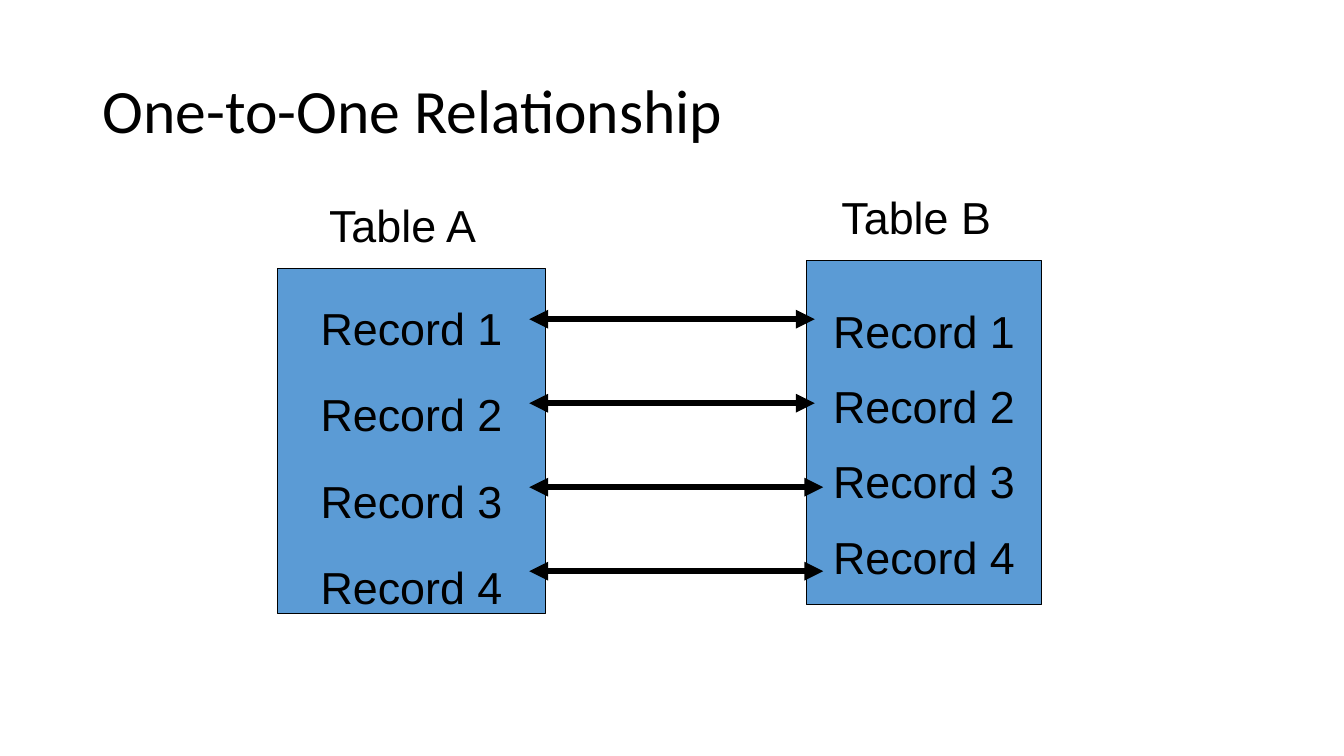
from lxml.etree import SubElement
from pptx import Presentation
from pptx.dml.color import RGBColor
from pptx.enum.shapes import MSO_CONNECTOR as Connector, MSO_SHAPE as Shape
from pptx.enum.text import MSO_ANCHOR as Anchor, MSO_AUTO_SIZE as AutoSize, PP_ALIGN as Align
from pptx.oxml.ns import qn
from pptx.util import Inches, Pt

BLACK = RGBColor(0x00, 0x00, 0x00)
BLUE = RGBColor(0x5B, 0x9B, 0xD5)
COLUMNS, ROWS = 160, 90
RECORDS = [f"Record {number}" for number in range(1, 5)]


class RelationshipPage:
    title_font, body_font = "Calibri", "Arial"
    title_size, body_size = Pt(44), Pt(32)

    def __init__(self, deck):
        self.column = deck.slide_width / COLUMNS
        self.row = deck.slide_height / ROWS
        self.page = deck.slides.add_slide(deck.slide_layouts[5])

    def place(self, left, top, width, height):
        return (round(left * self.column), round(top * self.row),
                round(width * self.column), round(height * self.row))

    def set_text(self, frame, text, font, size, align, spacing=1.0):
        frame.text = text
        for para in frame.paragraphs:
            para.alignment = align
            para.line_spacing = spacing
            for span in para.runs:
                span.font.name = font
                span.font.size = size
                span.font.color.rgb = BLACK

    def title(self, text, *area):
        box = self.page.shapes.title
        box.left, box.top, box.width, box.height = self.place(*area)
        frame = box.text_frame
        frame.vertical_anchor = Anchor.MIDDLE
        self.set_text(frame, text, self.title_font, self.title_size, Align.LEFT, 0.9)

    def label(self, text, *area):
        frame = self.page.shapes.add_textbox(*self.place(*area)).text_frame
        frame.word_wrap = False
        frame.auto_size = AutoSize.SHAPE_TO_FIT_TEXT
        self.set_text(frame, text, self.body_font, self.body_size, Align.LEFT)

    def record_box(self, records, spacing, *area):
        box = self.page.shapes.add_shape(Shape.RECTANGLE, *self.place(*area))
        box.shadow.inherit = False
        box.fill.solid()
        box.fill.fore_color.rgb = BLUE
        box.line.color.rgb = BLACK
        box.line.width = Pt(0.75)
        frame = box.text_frame
        frame.word_wrap = False
        frame.vertical_anchor = Anchor.MIDDLE
        self.set_text(frame, "\n".join(records), self.body_font, self.body_size,
                      Align.CENTER, spacing)

    def double_arrow(self, start, end, row):
        left, top, right, bottom = self.place(start, row, end, row)
        arrow = self.page.shapes.add_connector(
            Connector.STRAIGHT, left, top, right, bottom)
        arrow.line.color.rgb = BLACK
        arrow.line.width = Pt(4.5)
        properties = arrow.element.spPr
        outline = properties.find(qn("a:ln"))
        for tip in ("a:headEnd", "a:tailEnd"):
            SubElement(outline, qn(tip), type="triangle")
        SubElement(properties, qn("a:effectLst"))


def main():
    deck = Presentation()
    deck.slide_width, deck.slide_height = Inches(13.33), Inches(7.5)
    page = RelationshipPage(deck)
    page.title("One-to-One Relationship", 11, 4.8, 138, 17.4)
    page.record_box(RECORDS, 1.6, 33, 32, 32, 41)
    page.label("Table A", 38, 23, 20.8, 7.6)
    page.record_box(RECORDS, 1.4, 96, 31, 28, 41)
    page.label("Table B", 99, 22, 20.8, 7.6)
    for index, end in enumerate((97, 97, 98, 98)):
        page.double_arrow(63, end, 38 + 10 * index)
    deck.save("out.pptx")


if __name__ == "__main__":
    main()
